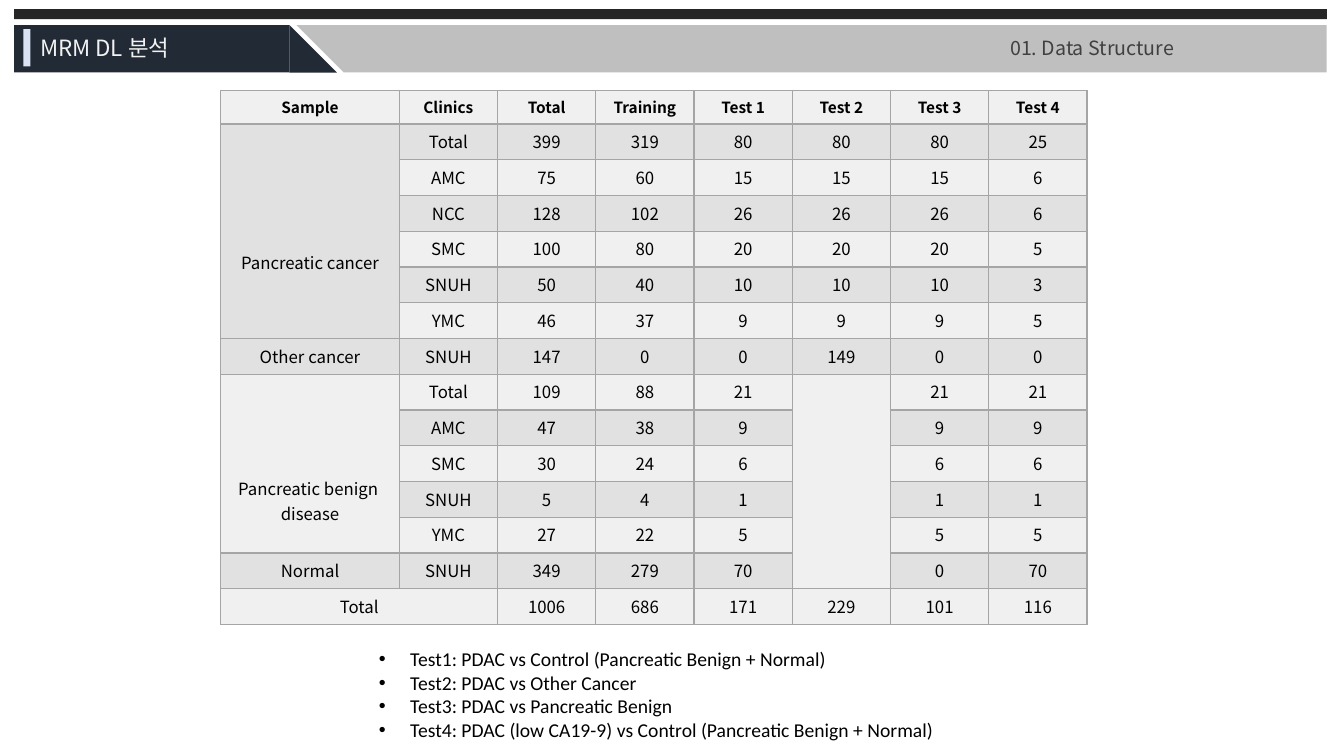
from dataclasses import dataclass
from typing import Optional

from lxml import etree
from pptx import Presentation
from pptx import util as u
from pptx.dml import color
from pptx.enum import shapes, text
from pptx.oxml import ns

SLIDE_WIDTH = u.Inches(13.33)
SLIDE_HEIGHT = u.Inches(7.5)
HEADING_FONT = "Noto Sans CJK KR"
NOTE_FONT = "Calibri"
NAVY, GREY = "222A35", "BFBFBF"
BANDS = ("F0F0F0", "E1E1E1")
BORDER = "A5A5A5"
RECTANGLE = shapes.MSO_SHAPE.RECTANGLE
TRIANGLE = shapes.MSO_SHAPE.RIGHT_TRIANGLE


@dataclass(frozen=True)
class Area:
    """Left, top, width and height in percent of the slide."""
    left: float
    top: float
    width: float
    height: float

    def lengths(self) -> tuple:
        return (across(self.left), down(self.top), across(self.width), down(self.height))


@dataclass(frozen=True)
class Panel:
    kind: shapes.MSO_SHAPE
    area: Area
    fill: str
    rotation: int = 0


@dataclass(frozen=True)
class Style:
    size: float
    font: str
    fill: str
    bold: bool = False
    outlined: bool = False


@dataclass(frozen=True)
class Label:
    area: Area
    lines: tuple
    style: Style
    bulleted: bool = False


@dataclass(frozen=True)
class Merge:
    row: int
    column: int
    rows: int
    columns: int
    lines_above: int = 0


PANELS = (
    Panel(RECTANGLE, Area(1.05, 1.2, 97.67, 1.33), "262626"),
    Panel(RECTANGLE, Area(1.05, 3.33, 20.48, 6.27), NAVY),
    Panel(TRIANGLE, Area(21.53, 3.33, 3.53, 6.27), NAVY),
    Panel(RECTANGLE, Area(25.58, 3.33, 73.14, 6.27), GREY),
    Panel(TRIANGLE, Area(22.06, 3.33, 3.53, 6.27), GREY, 180),
    Panel(RECTANGLE, Area(1.73, 3.87, 0.53, 4.93), "DAE3F3"),
)

LABELS = (
    Label(Area(2.25, 3.87, 14.93, 4.93), ("MRM DL 분석",),
          Style(16, HEADING_FONT, "F2F2F2", outlined=True)),
    Label(Area(27.46, 84.93, 50.04, 13.87), (
        "Test1: PDAC vs Control (Pancreatic Benign + Normal)",
        "Test2: PDAC vs Other Cancer",
        "Test3: PDAC vs Pancreatic Benign",
        "Test4: PDAC (low CA19-9) vs Control (Pancreatic Benign + Normal)",
    ), Style(14, NOTE_FONT, "000000"), bulleted=True),
    Label(Area(74.42, 4.13, 26.78, 4.53), ("01. Data Structure",),
          Style(14, HEADING_FONT, "404040", outlined=True)),
)

HEADER_STYLE = Style(11, HEADING_FONT, "000000", bold=True)
BODY_STYLE = Style(12, HEADING_FONT, "000000")
LINE_HEIGHT = 3.21
CELL_MARGIN = 0.67
COLUMN_WIDTHS = (13.28,) + (7.31,) * 7
ROW_HEIGHTS = (4.4,) + (4.73,) * 14
TABLE_AREA = Area(16.43, 12, sum(COLUMN_WIDTHS), sum(ROW_HEIGHTS))
SAMPLES = (
    ("Sample", "Clinics", "Total", "Training", "Test 1", "Test 2", "Test 3", "Test 4"),
    ("Pancreatic cancer", "Total", 399, 319, 80, 80, 80, 25),
    (None, "AMC", 75, 60, 15, 15, 15, 6),
    (None, "NCC", 128, 102, 26, 26, 26, 6),
    (None, "SMC", 100, 80, 20, 20, 20, 5),
    (None, "SNUH", 50, 40, 10, 10, 10, 3),
    (None, "YMC", 46, 37, 9, 9, 9, 5),
    ("Other cancer", "SNUH", 147, 0, 0, 149, 0, 0),
    ("Pancreatic benign \ndisease", "Total", 109, 88, 21, None, 21, 21),
    (None, "AMC", 47, 38, 9, None, 9, 9),
    (None, "SMC", 30, 24, 6, None, 6, 6),
    (None, "SNUH", 5, 4, 1, None, 1, 1),
    (None, "YMC", 27, 22, 5, None, 5, 5),
    ("Normal", "SNUH", 349, 279, 70, None, 0, 70),
    ("Total", None, 1006, 686, 171, 229, 101, 116),
)
MERGES = (
    Merge(1, 0, 6, 1, lines_above=5),
    Merge(8, 0, 5, 1, lines_above=4),
    Merge(8, 5, 6, 1),
    Merge(14, 0, 1, 2),
)


def across(percent: float) -> int:
    return round(SLIDE_WIDTH * percent / 100)


def down(percent: float) -> int:
    return round(SLIDE_HEIGHT * percent / 100)


def rgb(value: str) -> color.RGBColor:
    return color.RGBColor.from_string(value)


def add_element(parent, tag: str, **attributes: str):
    return etree.SubElement(parent, ns.qn(tag), attributes)


def add_line_fill(line, value: str, alpha: Optional[int] = None) -> None:
    shade = add_element(add_element(line, "a:solidFill"), "a:srgbClr", val=value)
    if alpha is not None:
        add_element(shade, "a:alpha", val=str(alpha * 1000))


def add_run(paragraph, words: str, style: Style) -> None:
    run = paragraph.add_run()
    run.text = words
    run.font.size = u.Pt(style.size)
    run.font.bold = style.bold
    run.font.name = style.font
    run.font.color.rgb = rgb(style.fill)
    properties = run.font._element
    add_element(properties, "a:ea", typeface=style.font)
    if style.outlined:
        outline = add_element(properties, "a:ln", w=str(u.Pt(0.75)))
        add_line_fill(outline, style.fill, 10)
        properties.insert(0, outline)


def write_lines(frame, lines: tuple, style: Style, alignment=None, bulleted: bool = False) -> None:
    for index, words in enumerate(lines):
        paragraph = frame.add_paragraph() if index else frame.paragraphs[0]
        paragraph.alignment = alignment
        if bulleted:
            properties = paragraph._p.get_or_add_pPr()
            indent = u.Inches(0.31)
            properties.set("marL", str(indent))
            properties.set("indent", str(-indent))
            add_element(properties, "a:buFont", typeface="Arial")
            add_element(properties, "a:buChar", char="•")
        add_run(paragraph, words, style)


def draw_panel(slide, panel: Panel) -> None:
    shape = slide.shapes.add_shape(panel.kind, *panel.area.lengths())
    shape.shadow.inherit = False
    shape.fill.solid()
    shape.fill.fore_color.rgb = rgb(panel.fill)
    shape.line.fill.background()
    shape.rotation = panel.rotation


def draw_label(slide, label: Label) -> None:
    frame = slide.shapes.add_textbox(*label.area.lengths()).text_frame
    frame.word_wrap = True
    frame.auto_size = text.MSO_AUTO_SIZE.SHAPE_TO_FIT_TEXT
    write_lines(frame, label.lines, label.style, bulleted=label.bulleted)


def fill_cell(cell, value, style: Style, band: str) -> None:
    properties = cell._tc.get_or_add_tcPr()
    for side in ("L", "R", "T", "B"):
        add_line_fill(add_element(properties, f"a:ln{side}", w=str(u.Pt(1))), BORDER)
    cell.fill.solid()
    cell.fill.fore_color.rgb = rgb(band)
    if value is None:
        add_element(cell.text_frame.paragraphs[0]._p, "a:endParaRPr", sz=str(style.size * 100))
    else:
        write_lines(cell.text_frame, str(value).split("\n"), style, text.PP_ALIGN.CENTER)


def draw_samples(slide) -> None:
    table = slide.shapes.add_table(len(SAMPLES), len(COLUMN_WIDTHS), *TABLE_AREA.lengths()).table
    table.first_row = table.horz_banding = False
    for column, width in zip(table.columns, COLUMN_WIDTHS):
        column.width = across(width)
    for row, height in zip(table.rows, ROW_HEIGHTS):
        row.height = down(height)
    for r, values in enumerate(SAMPLES):
        for c, value in enumerate(values):
            fill_cell(table.cell(r, c), value, BODY_STYLE if r else HEADER_STYLE, BANDS[r % 2])
    for merge in MERGES:
        origin = table.cell(merge.row, merge.column)
        origin.merge(table.cell(merge.row + merge.rows - 1, merge.column + merge.columns - 1))
        origin.margin_top = down(CELL_MARGIN + merge.lines_above * LINE_HEIGHT)


def main() -> None:
    presentation = Presentation()
    presentation.slide_width, presentation.slide_height = SLIDE_WIDTH, SLIDE_HEIGHT
    slide = presentation.slides.add_slide(presentation.slide_layouts[6])
    for panel in PANELS:
        draw_panel(slide, panel)
    draw_samples(slide)
    for label in LABELS:
        draw_label(slide, label)
    presentation.save("out.pptx")


if __name__ == "__main__":
    main()
